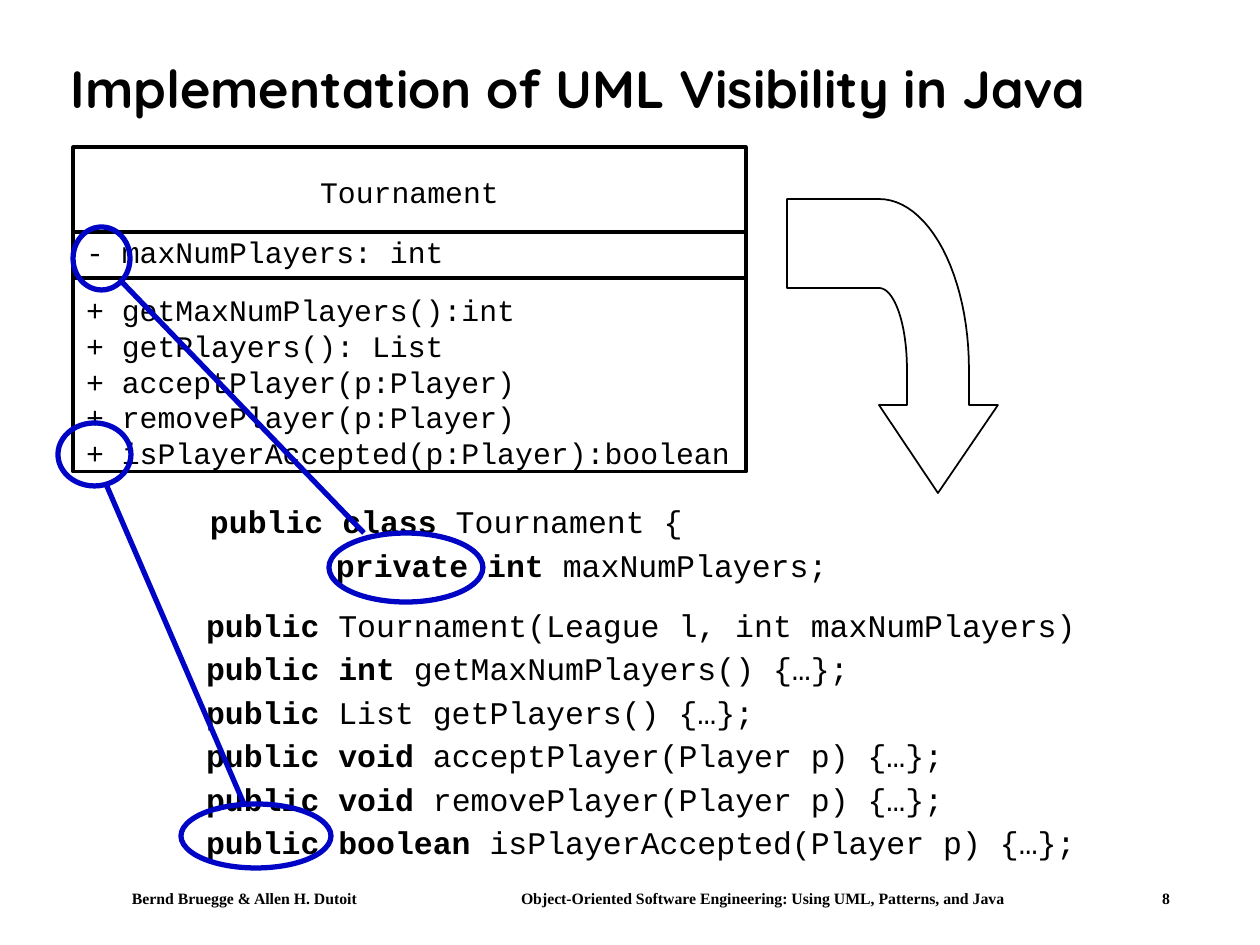
from math import cos, pi, sin

from pptx import Presentation
from pptx.dml.color import RGBColor
from pptx.enum.shapes import MSO_CONNECTOR, MSO_SHAPE
from pptx.enum.text import MSO_ANCHOR, PP_ALIGN
from pptx.oxml.ns import qn
from pptx.util import Emu, Pt

BLACK, WHITE, BLUE = "000000", "FFFFFF", "0005C5"
TITLE_FONT = dict(name="Quicksand", size=Pt(30), bold=True)
UML_FONT = dict(name="Courier New", size=Pt(17), bold=False)
CODE_FONT = dict(name="Courier New", size=Pt(18))
FOOTER_FONT = dict(name="Times New Roman", size=Pt(9), bold=True)

MEMBERS = [
    ("public", " Tournament(League l, int maxNumPlayers)"),
    ("public int", " getMaxNumPlayers() {…};"),
    ("public", " List getPlayers() {…};"),
    ("public void", " acceptPlayer(Player p) {…};"),
    ("public void", " removePlayer(Player p) {…};"),
    ("public boolean", " isPlayerAccepted(Player p) {…};"),
]
COMPARTMENTS = [
    (0, 85, 0, 27, PP_ALIGN.CENTER, ["Tournament"]),
    (85, 46, 13, 2, PP_ALIGN.LEFT, ["- maxNumPlayers: int"]),
    (131, 194, 13, 14, PP_ALIGN.LEFT, [
        "+ getMaxNumPlayers():int",
        "+ getPlayers(): List",
        "+ acceptPlayer(p:Player)",
        "+ removePlayer(p:Player)",
        "+ isPlayerAccepted(p:Player):boolean",
    ]),
]


def px(n):
    return Emu(round(n * 914400 / 126))


def color(value):
    return RGBColor.from_string(value)


def set_attrs(obj, values):
    for key, value in values.items():
        setattr(obj, key, value)


def set_frame(tf, left=0, top=0, anchor=MSO_ANCHOR.TOP):
    set_attrs(tf, dict(word_wrap=True, vertical_anchor=anchor,
                       margin_left=px(left), margin_top=px(top),
                       margin_right=0, margin_bottom=0))


def add_run(p, text, font, **extra):
    r = p.add_run()
    r.text = text
    set_attrs(r.font, {**font, **extra})
    r.font.color.rgb = color(BLACK)


def next_paragraph(tf, i):
    return tf.paragraphs[0] if i == 0 else tf.add_paragraph()


def set_outline(sp, line, width, fill=None):
    sp.shadow.inherit = False
    if fill:
        sp.fill.solid()
        sp.fill.fore_color.rgb = color(fill)
    else:
        sp.fill.background()
    sp.line.color.rgb = color(line)
    sp.line.width = Pt(width)


def add_title(s, x, y, w, h):
    sp = s.shapes.title
    set_attrs(sp, dict(left=px(x), top=px(y), width=px(w), height=px(h)))
    set_frame(sp.text_frame, 13, 6, MSO_ANCHOR.MIDDLE)
    p = sp.text_frame.paragraphs[0]
    set_attrs(p, dict(alignment=PP_ALIGN.LEFT, line_spacing=0.9))
    add_run(p, "Implementation of UML Visibility in Java", TITLE_FONT)


def add_class_box(s, x, y, w):
    for dy, h, left, top, align, lines in COMPARTMENTS:
        sp = s.shapes.add_shape(MSO_SHAPE.RECTANGLE, px(x), px(y + dy), px(w), px(h))
        set_outline(sp, BLACK, 1.75)
        set_frame(sp.text_frame, left, top)
        for i, line in enumerate(lines):
            p = next_paragraph(sp.text_frame, i)
            p.alignment = align
            add_run(p, line, UML_FONT)


def add_code(s, x, y, w, h, lines):
    tf = s.shapes.add_textbox(px(x), px(y), px(w), px(h)).text_frame
    set_frame(tf)
    for i, (keywords, rest) in enumerate(lines):
        p = next_paragraph(tf, i)
        set_attrs(p, dict(line_spacing=0.8, space_before=Pt(7.6 if i else 0)))
        add_run(p, keywords, CODE_FONT, bold=True)
        add_run(p, rest, CODE_FONT, bold=False)
    return tf


def add_class_code(s, x, y, w, h):
    tf = add_code(s, x, y, w, h, [("public class", " Tournament {"),
                                  ("private int", " maxNumPlayers;")])
    tf.paragraphs[0].line_spacing = 0.9
    pPr = tf.paragraphs[1]._p.get_or_add_pPr()
    pPr.set("marL", str(px(126)))
    pPr.set("indent", "0")


def quarter_arc(cx, cy, rx, ry, steps=24):
    angles = [pi / 2 * i / steps for i in range(steps + 1)]
    return [(cx + rx * cos(a), cy - ry * sin(a)) for a in angles]


def add_bent_arrow(s, x, y):
    outer = quarter_arc(92, 170, 90, 170)
    inner = quarter_arc(92, 170, 28, 81)
    points = [(151, 294), (211, 206), (182, 206), *outer, (0, 0), (0, 89),
              *reversed(inner), (120, 206), (92, 206)]
    points = [(px(x + dx), px(y + dy)) for dx, dy in points]
    builder = s.shapes.build_freeform(*points[0])
    builder.add_line_segments(points[1:], close=True)
    set_outline(builder.convert_to_shape(), BLACK, 1, WHITE)


def add_link(s, ovals, start, end):
    for x, y, w, h in ovals:
        sp = s.shapes.add_shape(MSO_SHAPE.OVAL, px(x), px(y), px(w), px(h))
        set_outline(sp, BLUE, 3)
    line = s.shapes.add_connector(MSO_CONNECTOR.STRAIGHT, *map(px, start + end))
    line.line.color.rgb = color(BLUE)
    line.line.width = Pt(3)
    spPr = line._element.spPr
    spPr.append(spPr.makeelement(qn("a:effectLst"), {}))


def add_footer(s, x, y, w, h):
    parts = [
        (0, 300, PP_ALIGN.LEFT, "Bernd Bruegge & Allen H. Dutoit"),
        (389, 550, PP_ALIGN.LEFT,
         "Object-Oriented Software Engineering: Using UML, Patterns, and Java"),
        (w - 60, 60, PP_ALIGN.RIGHT, "8"),
    ]
    for dx, width, align, text in parts:
        tf = s.shapes.add_textbox(px(x + dx), px(y), px(width), px(h)).text_frame
        set_frame(tf, anchor=MSO_ANCHOR.MIDDLE)
        p = tf.paragraphs[0]
        p.alignment = align
        add_run(p, text, FOOTER_FONT)


def main():
    prs = Presentation()
    prs.slide_width, prs.slide_height = px(1260), px(945)
    s = prs.slides.add_slide(prs.slide_layouts[5])
    s.background.fill.solid()
    s.background.fill.fore_color.rgb = color(WHITE)
    add_title(s, 58, 30, 1124, 118)
    add_class_box(s, 73, 147, 673)
    add_bent_arrow(s, 787, 199)
    add_class_code(s, 210, 506, 1000, 80)
    add_code(s, 206, 613, 1000, 260, MEMBERS)
    add_link(s, [(58, 423, 73, 63), (181, 804, 150, 64)], (106, 484), (244, 804))
    add_link(s, [(73, 227, 57, 63), (329, 533, 154, 69)], (120, 280), (364, 533))
    add_footer(s, 132, 882, 1038, 32)
    prs.save("out.pptx")


if __name__ == "__main__":
    main()
